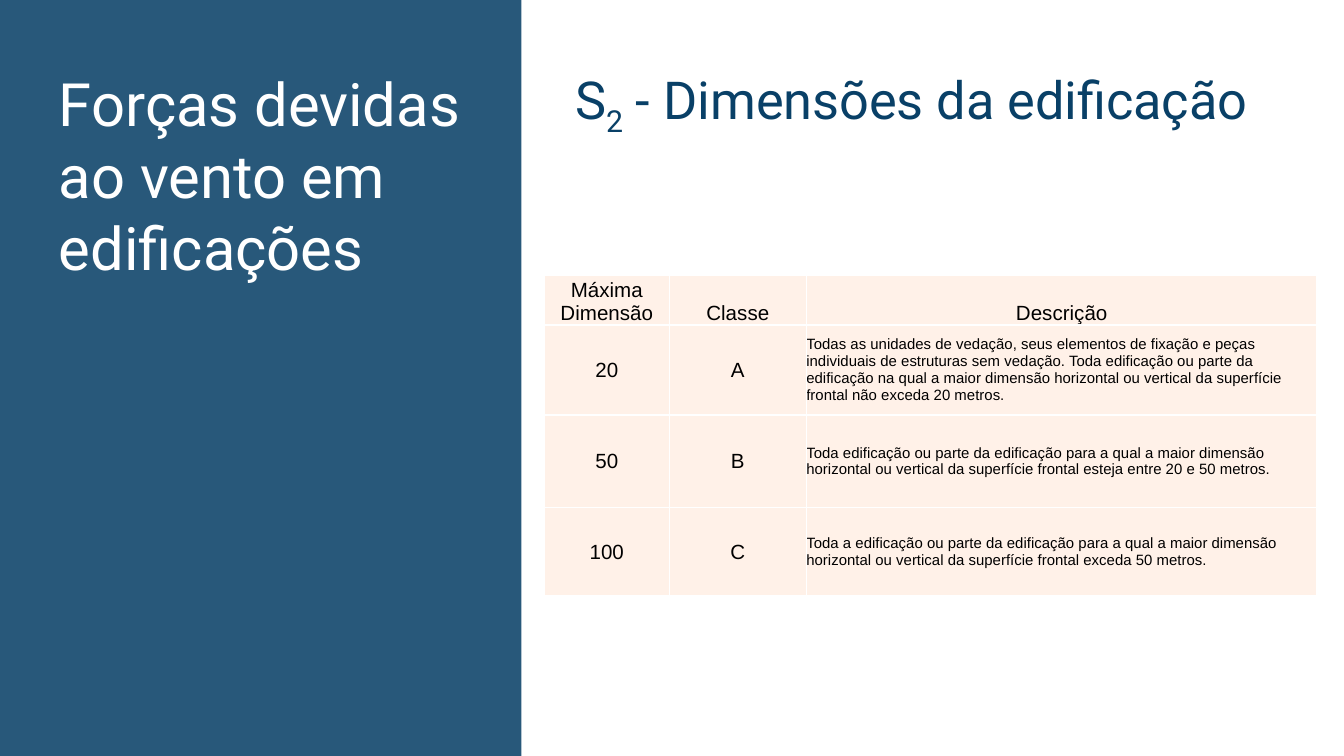
from lxml.etree import SubElement
from pptx import Presentation
from pptx.dml.color import RGBColor
from pptx.enum.shapes import MSO_SHAPE
from pptx.enum.text import MSO_ANCHOR, PP_ALIGN
from pptx.oxml.ns import qn
from pptx.util import Inches, Pt

WIDTH = 10
HEIGHT = WIDTH * 9 / 16
PANEL_WIDTH = 3.88
WHITE, BLUE, NAVY, PEACH, BLACK = "FFFFFF", "28587A", "094067", "FFF1E8", "000000"

COLUMN_WIDTHS = [0.93, 1.02, 3.8]
ROW_HEIGHTS = [0.18, 0.67, 0.69, 0.66]  # the header grows to fit its two lines
CLASS_ROWS = [
    ("Máxima Dimensão", "Classe", "Descrição"),
    ("20", "A", "Todas as unidades de vedação, seus elementos de fixação e peças "
     "individuais de estruturas sem vedação. Toda edificação ou parte da edificação "
     "na qual a maior dimensão horizontal ou vertical da superfície frontal não "
     "exceda 20 metros."),
    ("50", "B", "Toda edificação ou parte da edificação para a qual a maior dimensão "
     "horizontal ou vertical da superfície frontal esteja entre 20 e 50 metros."),
    ("100", "C", "Toda a edificação ou parte da edificação para a qual a maior dimensão "
     "horizontal ou vertical da superfície frontal exceda 50 metros."),
]


def color(hex_string):
    return RGBColor.from_string(hex_string)


def set_font(paragraph, name, size, hex_string):
    paragraph.font.name = name
    paragraph.font.size = Pt(size)
    paragraph.font.color.rgb = color(hex_string)


def add_heading(slide, box, runs, size, hex_string):
    """Add a one-paragraph heading; runs are (text, baseline) pairs."""
    frame = slide.shapes.add_textbox(*map(Inches, box)).text_frame
    frame.word_wrap = True
    frame.margin_left = frame.margin_right = Inches(0.1)
    frame.margin_top = frame.margin_bottom = Inches(0.1)
    paragraph = frame.paragraphs[0]
    set_font(paragraph, "Roboto", size, hex_string)
    for text, baseline in runs:
        run = paragraph.add_run()
        run.text = text
        if baseline:
            run.font._element.set("baseline", str(baseline * 1000))


def add_title_panel(slide, left, top, width, height):
    panel = slide.shapes.add_shape(
        MSO_SHAPE.RECTANGLE, *map(Inches, (left, top, width, height)))
    panel.shadow.inherit = False
    panel.fill.solid()
    panel.fill.fore_color.rgb = color(BLUE)
    panel.line.fill.background()
    add_heading(slide, (left + 0.34, top + 0.4, width - 0.68, 0.85),
                [("Forças devidas ao vento em edificações", 0)], 32, WHITE)


def add_borders(cell, hex_string, points):
    properties = cell._tc.get_or_add_tcPr()
    for index, side in enumerate(("lnL", "lnR", "lnT", "lnB")):
        line = SubElement(properties, qn(f"a:{side}"), w=str(Pt(points)))
        fill = SubElement(line, qn("a:solidFill"))
        SubElement(fill, qn("a:srgbClr"), val=hex_string)
        properties.insert(index, line)  # borders come before the cell fill


def add_class_table(slide, left, top):
    table = slide.shapes.add_table(
        len(ROW_HEIGHTS), len(COLUMN_WIDTHS), Inches(left), Inches(top),
        Inches(sum(COLUMN_WIDTHS)), Inches(sum(ROW_HEIGHTS))).table
    for column, width in zip(table.columns, COLUMN_WIDTHS):
        column.width = Inches(width)
    for row, height in zip(table.rows, ROW_HEIGHTS):
        row.height = Inches(height)

    for row_index, texts in enumerate(CLASS_ROWS):
        for column_index, text in enumerate(texts):
            cell = table.cell(row_index, column_index)
            is_header = row_index == 0
            is_description = column_index == 2 and not is_header
            cell.margin_left = cell.margin_right = 0
            cell.margin_top = cell.margin_bottom = 0
            cell.vertical_anchor = MSO_ANCHOR.BOTTOM if is_header else MSO_ANCHOR.MIDDLE
            cell.fill.solid()
            cell.fill.fore_color.rgb = color(PEACH)
            add_borders(cell, WHITE, 1)
            cell.text = text
            paragraph = cell.text_frame.paragraphs[0]
            paragraph.alignment = PP_ALIGN.LEFT if is_description else PP_ALIGN.CENTER
            set_font(paragraph, "Arial", 8 if is_description else 11, BLACK)


def add_content(slide, left, top, width):
    add_heading(slide, (left + 0.3, top + 0.4, width - 0.3, 0.57),
                [("S", 0), ("2", -25), (" - Dimensões da edificação", 0)], 28, NAVY)
    add_class_table(slide, left + 0.17, top + 2.05)


def main():
    presentation = Presentation()
    presentation.slide_width = Inches(WIDTH)
    presentation.slide_height = Inches(HEIGHT)
    slide = presentation.slides.add_slide(presentation.slide_layouts[6])

    # Left panel with the lecture title
    add_title_panel(slide, 0, 0, PANEL_WIDTH, HEIGHT)
    # Right side with the topic and the class table
    add_content(slide, PANEL_WIDTH, 0, WIDTH - PANEL_WIDTH)

    presentation.save("out.pptx")


if __name__ == "__main__":
    main()
